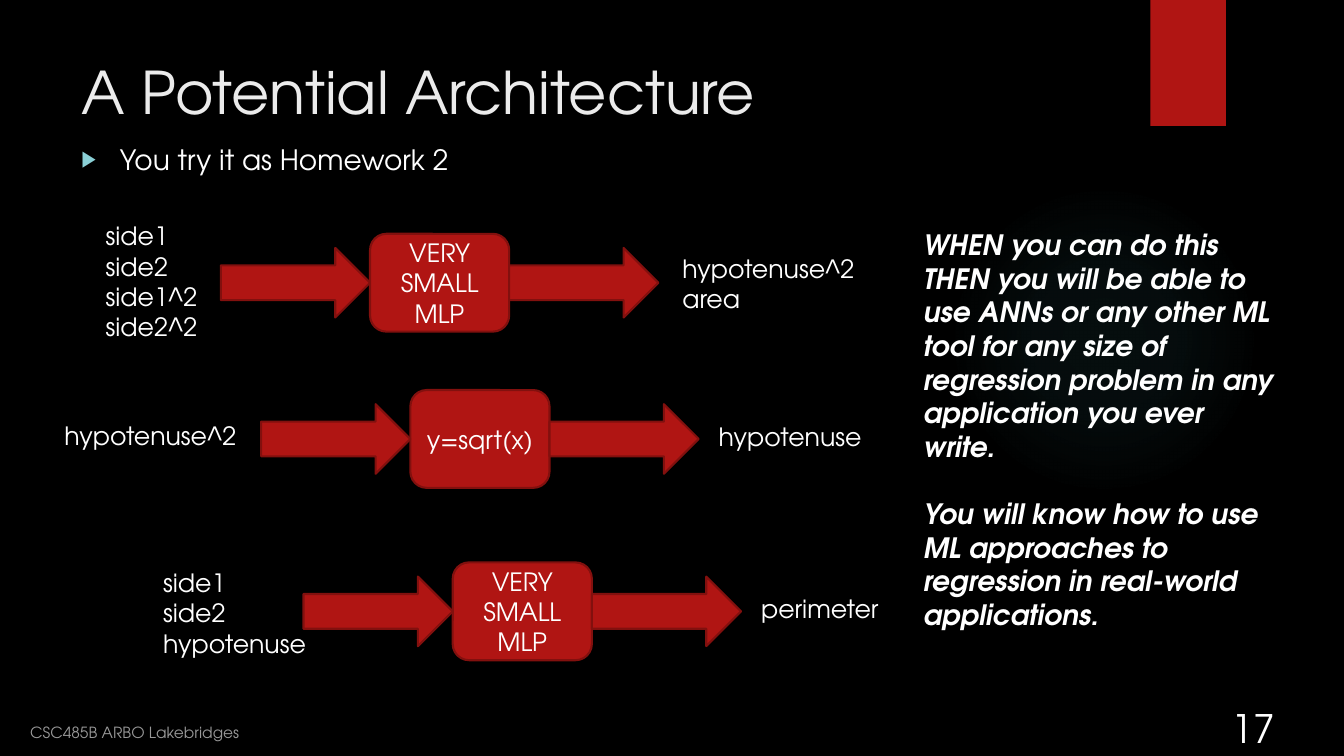
import pptx
import pptx.util
import pptx.oxml
import pptx.dml.color
import pptx.enum.shapes
import pptx.enum.text

Inches, Pt = pptx.util.Inches, pptx.util.Pt
KIND = pptx.enum.shapes.MSO_SHAPE
ALIGN = pptx.enum.text.PP_ALIGN
ANCHOR = pptx.enum.text.MSO_ANCHOR
NS = 'xmlns:a="http://schemas.openxmlformats.org/drawingml/2006/main"'
FACE = "TeX Gyre Adventor"
RED, EDGE, WHITE = "B01513", "82100E", "FFFFFF"

ARROW_W, ARROW_H = 1.48, 0.69
BOX_W, BOX_H = 1.38, 0.97

# Each flow: left, top of box, box lines, input (lines, place), output (lines, place)
FLOWS = [
    (2.19, 2.32, ["VERY SMALL", "MLP"],
     (["side1", "side2", "side1^2", "side2^2"], (0.95, 2.14, 1.14, 1.62)),
     (["hypotenuse^2", "area"], (6.67, 2.46, 1.96, 0.71))),
    (2.59, 3.87, ["y=sqrt(x)"],
     (["hypotenuse^2"], (0.54, 4.12, 1.96, 0.4)),
     (["hypotenuse"], (7.03, 4.13, 1.65, 0.4))),
    (3.01, 5.58, ["VERY SMALL MLP"],
     (["side1", "side2", "hypotenuse"], (1.52, 5.58, 1.65, 1.01)),
     (["perimeter"], (7.45, 5.84, 1.39, 0.4))),
]
ADVICE = [
    "WHEN you can do this THEN you will be able to use ANNs or any other ML "
    "tool for any size of regression problem in any application you ever write.",
    "You will know how to use ML approaches to regression in real-world "
    "applications.",
]


def color(code):
    return pptx.dml.color.RGBColor.from_string(code)


def apply(target, values):
    for name, value in values.items():
        setattr(target, name, value)


def write(frame, lines, size=18, tint=WHITE, align=ALIGN.LEFT, gap=0, **style):
    """Fill a text frame, one paragraph a line, with a gap between them."""
    for i, line in enumerate(lines):
        para = frame.paragraphs[0] if i == 0 else frame.add_paragraph()
        apply(para, {"alignment": align, "space_before": Pt(gap if i else 0)})
        run = para.add_run()
        run.text = line
        apply(run.font, {"name": FACE, "size": Pt(size), **style})
        run.font.color.rgb = color(tint)


def add_text(slide, place, lines, wrap=True, anchor=ANCHOR.TOP, **style):
    frame = slide.shapes.add_textbox(*map(Inches, place)).text_frame
    apply(frame, {"word_wrap": wrap, "vertical_anchor": anchor})
    write(frame, lines, **style)
    return frame


def add_shape(slide, kind, place, fill=RED, edge=None):
    shape = slide.shapes.add_shape(kind, *map(Inches, place))
    shape.shadow.inherit = False
    shape.fill.solid()
    shape.fill.fore_color.rgb = color(fill)
    if edge:
        shape.line.color.rgb = color(edge)
        shape.line.width = Pt(1.5)
    else:
        shape.line.fill.background()
    return shape


def add_glow(slide):
    """Soft round light that fades toward its rim."""
    props = add_shape(slide, KIND.OVAL, (9.41, 1.83, 3.08, 3.08)).element.spPr
    stops = "".join(
        f'<a:gs pos="{pos}000"><a:srgbClr val="50B9C1">'
        f'<a:alpha val="{alpha}000"/></a:srgbClr></a:gs>'
        for pos, alpha in [(0, 7), (36, 6), (69, 0), (100, 0)])
    grad = pptx.oxml.parse_xml(
        f'<a:gradFill {NS}><a:gsLst>{stops}</a:gsLst><a:path path="circle">'
        '<a:fillToRect l="50000" t="50000" r="50000" b="50000"/>'
        '</a:path></a:gradFill>')
    solid = props.find(pptx.oxml.ns.qn("a:solidFill"))
    props.replace(solid, grad)


def add_tab(slide):
    """Red tab at the top edge, with a drop shadow."""
    props = add_shape(slide, KIND.RECTANGLE, (11.41, 0, 0.75, 1.25)).element.spPr
    shade = pptx.oxml.parse_xml(
        f'<a:outerShdw {NS} blurRad="{Pt(3)}" dist="{Pt(2)}" dir="5400000">'
        '<a:srgbClr val="000000"><a:alpha val="45000"/></a:srgbClr>'
        '</a:outerShdw>')
    props.find(pptx.oxml.ns.qn("a:effectLst")).append(shade)


def add_bullet(para):
    props = para._p.get_or_add_pPr()
    props.set("marL", str(Inches(0.38)))
    props.set("indent", str(-Inches(0.38)))
    for tag in ('buClr {}><a:srgbClr val="8AD0D6"/></a:buClr>',
                'buSzPct {} val="80000"/>',
                'buFont {} typeface="Arial"/>',
                'buChar {} char="▶"/>'):
        props.append(pptx.oxml.parse_xml("<a:" + tag.format(NS)))


def add_flow(slide, left, top, lines, source, result):
    """Input text, arrow, box, arrow, output text."""
    box_x = left + ARROW_W
    box = add_shape(slide, KIND.ROUNDED_RECTANGLE,
                    (box_x, top, BOX_W, BOX_H), edge=EDGE)
    apply(box.text_frame, {"word_wrap": True, "vertical_anchor": ANCHOR.MIDDLE})
    write(box.text_frame, lines, align=ALIGN.CENTER)
    arrow_y = top + (BOX_H - ARROW_H) / 2
    for x in (left, box_x + BOX_W):
        add_shape(slide, KIND.RIGHT_ARROW,
                  (x, arrow_y, ARROW_W, ARROW_H), edge=EDGE)
    for words, place in (source, result):
        add_text(slide, place, words, wrap=False)


def main():
    deck = pptx.Presentation()
    apply(deck, {"slide_width": Inches(13.33), "slide_height": Inches(7.5)})
    slide = deck.slides.add_slide(deck.slide_layouts[6])

    # Backdrop
    slide.background.fill.solid()
    slide.background.fill.fore_color.rgb = color("000000")
    add_glow(slide)
    add_tab(slide)

    # Heading and bullet
    add_text(slide, (0.71, 0.5, 10.29, 1.53), ["A Potential Architecture"],
             size=42, tint="EBEBEB")
    task = add_text(slide, (0.71, 1.36, 4.65, 0.65),
                    ["You try it as Homework 2"], size=20)
    add_bullet(task.paragraphs[0])

    # Flows
    for flow in FLOWS:
        add_flow(slide, *flow)

    # Advice at the right
    add_text(slide, (9.06, 2.21, 3.73, 4.14), ADVICE, size=20, gap=24,
             bold=True, italic=True)

    # Footer
    add_text(slide, (0.2, 7.08, 4.22, 0.33), ["CSC485B ARBO Lakebridges"],
             size=11, tint="999999", anchor=ANCHOR.BOTTOM)
    add_text(slide, (11.97, 6.66, 0.92, 0.84), ["17"], size=28,
             align=ALIGN.CENTER, anchor=ANCHOR.BOTTOM)

    deck.save("out.pptx")


if __name__ == "__main__":
    main()
